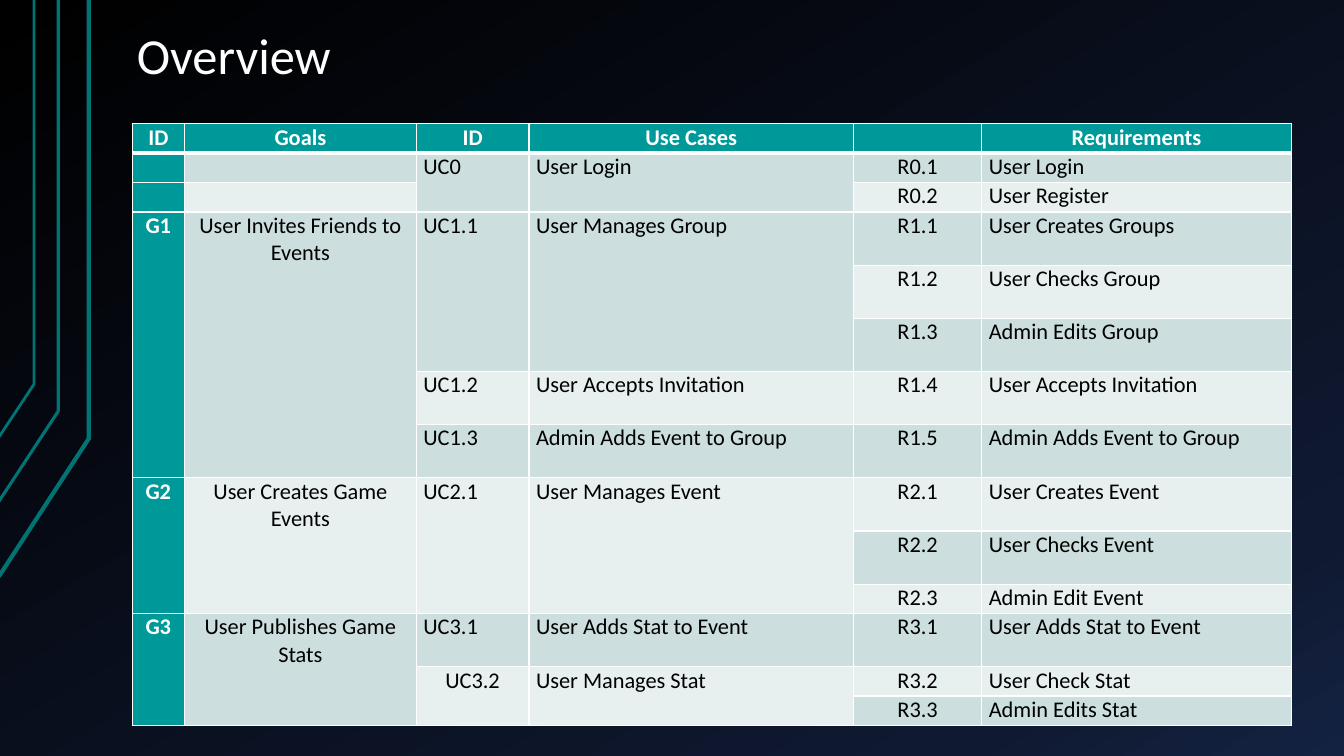
import pptx
import pptx.dml.color
import pptx.enum.text
import pptx.oxml.ns
import pptx.util
import copy
import lxml.etree

Cm = pptx.util.Cm
Pt = pptx.util.Pt
Align = pptx.enum.text.PP_ALIGN
Anchor = pptx.enum.text.MSO_ANCHOR
qn = pptx.oxml.ns.qn

HUES = {
    "white": "FFFFFF", "black": "000000", "navy": "0F1931", "blue": "142242",
    "teal": "009999", "line": "007373", "odd": "CCDEDE", "even": "E7EFEF",
}

COLS = [1.32, 5.84, 2.84, 8.18, 3.23, 7.8]
LOW, TALL = 0.74, 1.34
SPAN = None
ROWS = [
    (LOW, "ID", "Goals", "ID", "Use Cases", "", "Requirements"),
    (LOW, "", "", "UC0", "User Login", "R0.1", "User Login"),
    (LOW, "", "", SPAN, SPAN, "R0.2", "User Register"),
    (TALL, "G1", "User Invites Friends to Events", "UC1.1", "User Manages Group",
     "R1.1", "User Creates Groups"),
    (TALL, SPAN, SPAN, SPAN, SPAN, "R1.2", "User Checks Group"),
    (TALL, SPAN, SPAN, SPAN, SPAN, "R1.3", "Admin Edits Group"),
    (TALL, SPAN, SPAN, "UC1.2", "User Accepts Invitation", "R1.4", "User Accepts Invitation"),
    (TALL, SPAN, SPAN, "UC1.3", "Admin Adds Event to Group", "R1.5", "Admin Adds Event to Group"),
    (TALL, "G2", "User Creates Game Events", "UC2.1", "User Manages Event",
     "R2.1", "User Creates Event"),
    (TALL, SPAN, SPAN, SPAN, SPAN, "R2.2", "User Checks Event"),
    (LOW, SPAN, SPAN, SPAN, SPAN, "R2.3", "Admin Edit Event"),
    (TALL, "G3", "User Publishes Game Stats", "UC3.1", "User Adds Stat to Event",
     "R3.1", "User Adds Stat to Event"),
    (LOW, SPAN, SPAN, "UC3.2", "User Manages Stat", "R3.2", "User Check Stat"),
    (LOW, SPAN, SPAN, SPAN, SPAN, "R3.3", "Admin Edits Stat"),
]
MID_COLS = (0, 1, 4)
MID_TEXT = ("UC3.2",)

TRACKS = [
    (3, [(-0.03, 14.53), (2.24, 11.05), (2.24, 0)]),
    (2.25, [(-0.05, 12.67), (1.47, 10.36), (1.47, 0)]),
    (2, [(-0.03, 11.02), (0.86, 9.68), (0.86, 0)]),
]


def hue(name):
    return pptx.dml.color.RGBColor.from_string(HUES[name])


def write(frame, text, font="Calibri", size=16, color="black", bold=False,
          align=Align.LEFT, space=None):
    para = frame.paragraphs[0]
    para.alignment = align
    if space:
        para.line_spacing = space
    if not text:
        end = lxml.etree.SubElement(para._p, qn("a:endParaRPr"))
        end.set("sz", str(size * 100))
        return
    run = para.add_run()
    run.text = text
    run.font.name = font
    run.font.size = Pt(size)
    run.font.bold = bold
    run.font.color.rgb = hue(color)


class Deck:
    def __init__(self, slide):
        self.slide = slide
        self.shapes = slide.shapes

    def ground(self, stops, angle):
        fill = self.slide.background.fill
        fill.gradient()
        fill.gradient_angle = angle
        group = next(self.slide._element.iter(qn("a:gsLst")))
        while len(group) < len(stops):
            group.append(copy.deepcopy(group[-1]))
        for stop, (place, color) in zip(fill.gradient_stops, stops):
            stop.position = place
            stop.color.rgb = hue(color)

    def track(self, width, points):
        spots = [(Cm(x), Cm(y)) for x, y in points]
        pen = self.shapes.build_freeform(*spots[0], scale=1.0)
        pen.add_line_segments(spots[1:], close=False)
        shape = pen.convert_to_shape()
        shape.shadow.inherit = False
        shape.fill.background()
        shape.line.color.rgb = hue("line")
        shape.line.width = Pt(width)

    def title(self, text, left, top, width, height):
        frame = self.shapes.add_textbox(Cm(left), Cm(top), Cm(width), Cm(height)).text_frame
        frame.word_wrap = True
        frame.vertical_anchor = Anchor.BOTTOM
        frame.margin_left = frame.margin_right = Cm(0.33)
        frame.margin_top = frame.margin_bottom = Cm(0.18)
        write(frame, text, size=36, color="white", space=0.9)

    def edge(self, cell, side, width):
        line = lxml.etree.SubElement(cell._tc.get_or_add_tcPr(), qn("a:ln" + side))
        line.set("w", str(Pt(width)))
        fill = lxml.etree.SubElement(line, qn("a:solidFill"))
        lxml.etree.SubElement(fill, qn("a:srgbClr")).set("val", HUES["white"])

    def cell(self, cell, text, row, col):
        head = row == 0 or col == 0
        mid = row == 0 or col in MID_COLS or text in MID_TEXT
        cell.margin_left = cell.margin_right = Cm(0.18)
        cell.margin_top = cell.margin_bottom = 0
        for side in "LRTB":
            thick = (row, side) in ((0, "B"), (1, "T"))
            self.edge(cell, side, 3 if thick else 1)
        cell.fill.solid()
        cell.fill.fore_color.rgb = hue("teal" if head else "odd" if row % 2 else "even")
        write(cell.text_frame, text, bold=head, color="white" if head else "black",
              align=Align.CENTER if mid else Align.LEFT)

    def table(self, rows, cols, left, top):
        high = sum(row[0] for row in rows)
        grid = self.shapes.add_table(len(rows), len(cols), Cm(left), Cm(top),
                                     Cm(sum(cols)), Cm(high)).table
        grid.horz_banding = False
        for col, width in enumerate(cols):
            grid.columns[col].width = Cm(width)
        for row, (height, *texts) in enumerate(rows):
            grid.rows[row].height = Cm(height)
            for col, text in enumerate(texts):
                self.cell(grid.cell(row, col), text, row, col)
        for col in range(len(cols)):
            first = 0
            for row in range(1, len(rows) + 1):
                if row < len(rows) and rows[row][col + 1] is SPAN:
                    continue
                if row - first > 1:
                    grid.cell(first, col).merge(grid.cell(row - 1, col))
                first = row


def main():
    show = pptx.Presentation()
    show.slide_width = Cm(33.87)
    show.slide_height = Cm(19.05)
    deck = Deck(show.slides.add_slide(show.slide_layouts[6]))
    deck.ground([(0, "black"), (0.85, "navy"), (1, "blue")], 300)
    for width, points in TRACKS:
        deck.track(width, points)
    deck.title("Overview", 3.12, -1.07, 28.78, 3.4)
    deck.table(ROWS, COLS, 3.33, 3.12)
    show.save("out.pptx")


if __name__ == "__main__":
    main()
